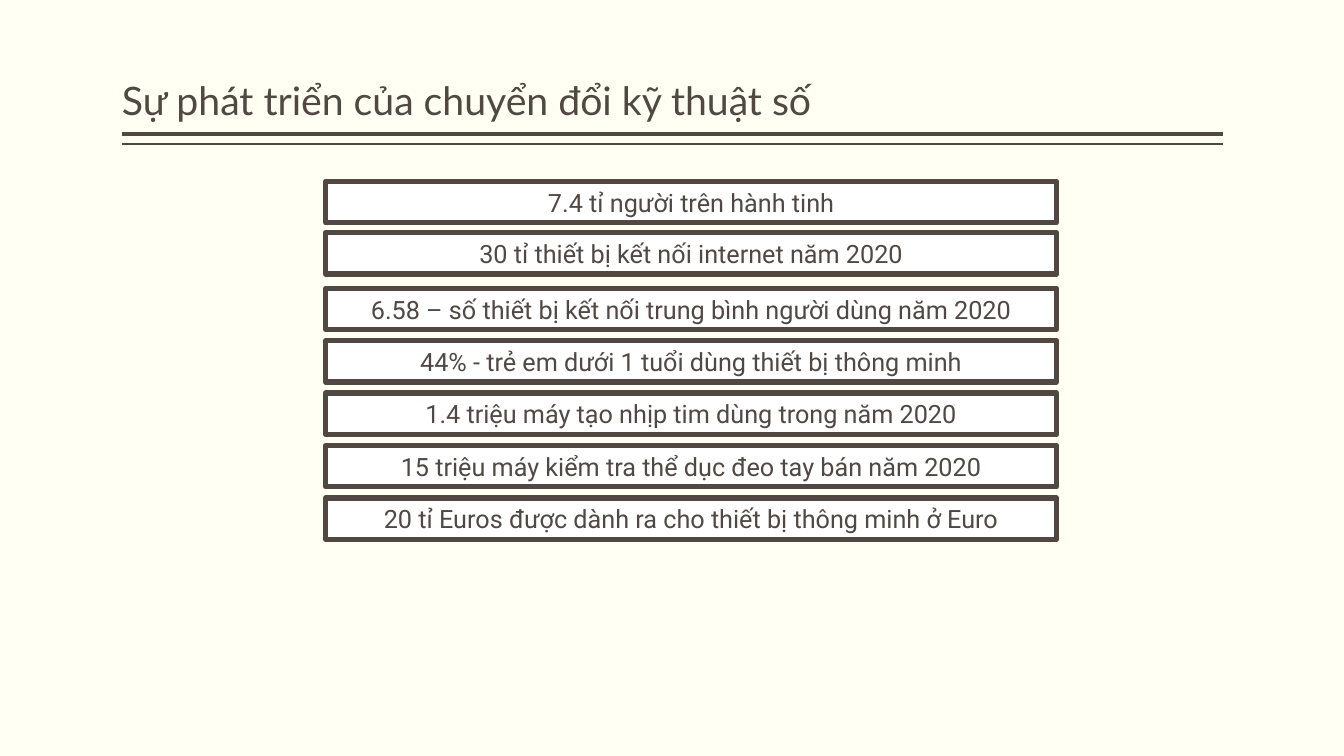
import pptx
import pptx.dml.color
import pptx.enum.shapes
import pptx.enum.text
import pptx.oxml
import pptx.util
from pptx.util import Inches

TITLE = "Sự phát triển của chuyển đổi kỹ thuật số"
FACT_GROUPS = [
    {"top": 1.8, "pitch": 0.51, "facts": [
        "7.4 tỉ người trên hành tinh",
        "30 tỉ thiết bị kết nối internet năm 2020",
    ]},
    {"top": 2.86, "pitch": 0.52, "facts": [
        "6.58 – số thiết bị kết nối trung bình người dùng năm 2020",
        "44% - trẻ em dưới 1 tuổi dùng thiết bị thông minh",
        "1.4 triệu máy tạo nhịp tim dùng trong năm 2020",
        "15 triệu máy kiểm tra thể dục đeo tay bán năm 2020",
        "20 tỉ Euros được dành ra cho thiết bị thông minh ở Euro",
    ]},
]
TITLE_RULES = [(1.33, 3), (1.43, 1)]
LEFT, WIDTH = 1.21, 10.92
FACT_LEFT, FACT_WIDTH, FACT_HEIGHT = 3.23, 7.25, 0.41

CREAM = pptx.dml.color.RGBColor(0xFF, 0xFF, 0xF3)
BROWN = pptx.dml.color.RGBColor(0x51, 0x48, 0x43)
WHITE = pptx.dml.color.RGBColor(0xFF, 0xFF, 0xFF)


def add_run(paragraph, text, size, font_name):
    """Add one brown run to a paragraph."""
    run = paragraph.add_run()
    run.text = text
    run.font.size = pptx.util.Pt(size)
    run.font.name = font_name
    run.font.color.rgb = BROWN


def add_rule(slide, top, weight):
    """Draw one horizontal line under the title."""
    rule = slide.shapes.add_connector(
        pptx.enum.shapes.MSO_CONNECTOR.STRAIGHT,
        Inches(LEFT + WIDTH), Inches(top), Inches(LEFT), Inches(top))
    rule.line.color.rgb = BROWN
    rule.line.width = pptx.util.Pt(weight)
    properties = rule._element.spPr
    properties.append(properties.makeelement(pptx.oxml.ns.qn("a:effectLst"), {}))


def add_title(slide):
    """Place and fill the title placeholder."""
    title = slide.shapes.title
    title.left, title.top = Inches(LEFT), Inches(0.08)
    title.width, title.height = Inches(WIDTH), Inches(1.2)
    frame = title.text_frame
    frame.auto_size = pptx.enum.text.MSO_AUTO_SIZE.NONE
    frame.vertical_anchor = pptx.enum.text.MSO_ANCHOR.BOTTOM
    frame.margin_left = frame.margin_right = 0
    paragraph = frame.paragraphs[0]
    paragraph.alignment = pptx.enum.text.PP_ALIGN.LEFT
    paragraph.line_spacing = 0.9
    add_run(paragraph, TITLE, 28, "Lato")


def add_fact(slide, top, text):
    """Draw one framed fact."""
    box = slide.shapes.add_shape(
        pptx.enum.shapes.MSO_SHAPE.RECTANGLE,
        Inches(FACT_LEFT), Inches(top), Inches(FACT_WIDTH), Inches(FACT_HEIGHT))
    box.shadow.inherit = False
    box.fill.solid()
    box.fill.fore_color.rgb = WHITE
    box.line.color.rgb = BROWN
    box.line.width = pptx.util.Pt(3.78)
    box.text_frame.word_wrap = True
    box.text_frame.vertical_anchor = pptx.enum.text.MSO_ANCHOR.MIDDLE
    paragraph = box.text_frame.paragraphs[0]
    paragraph.alignment = pptx.enum.text.PP_ALIGN.CENTER
    add_run(paragraph, text, 18, "Roboto")


def main():
    """Build and save the slide."""
    presentation = pptx.Presentation()
    presentation.slide_width = Inches(13.33)
    presentation.slide_height = Inches(7.5)
    slide = presentation.slides.add_slide(presentation.slide_layouts.get_by_name("Title Only"))
    slide.background.fill.solid()
    slide.background.fill.fore_color.rgb = CREAM
    for top, weight in TITLE_RULES:
        add_rule(slide, top, weight)
    add_title(slide)
    for group in FACT_GROUPS:
        for index, fact in enumerate(group["facts"]):
            add_fact(slide, group["top"] + index * group["pitch"], fact)
    presentation.save("out.pptx")


if __name__ == "__main__":
    main()
